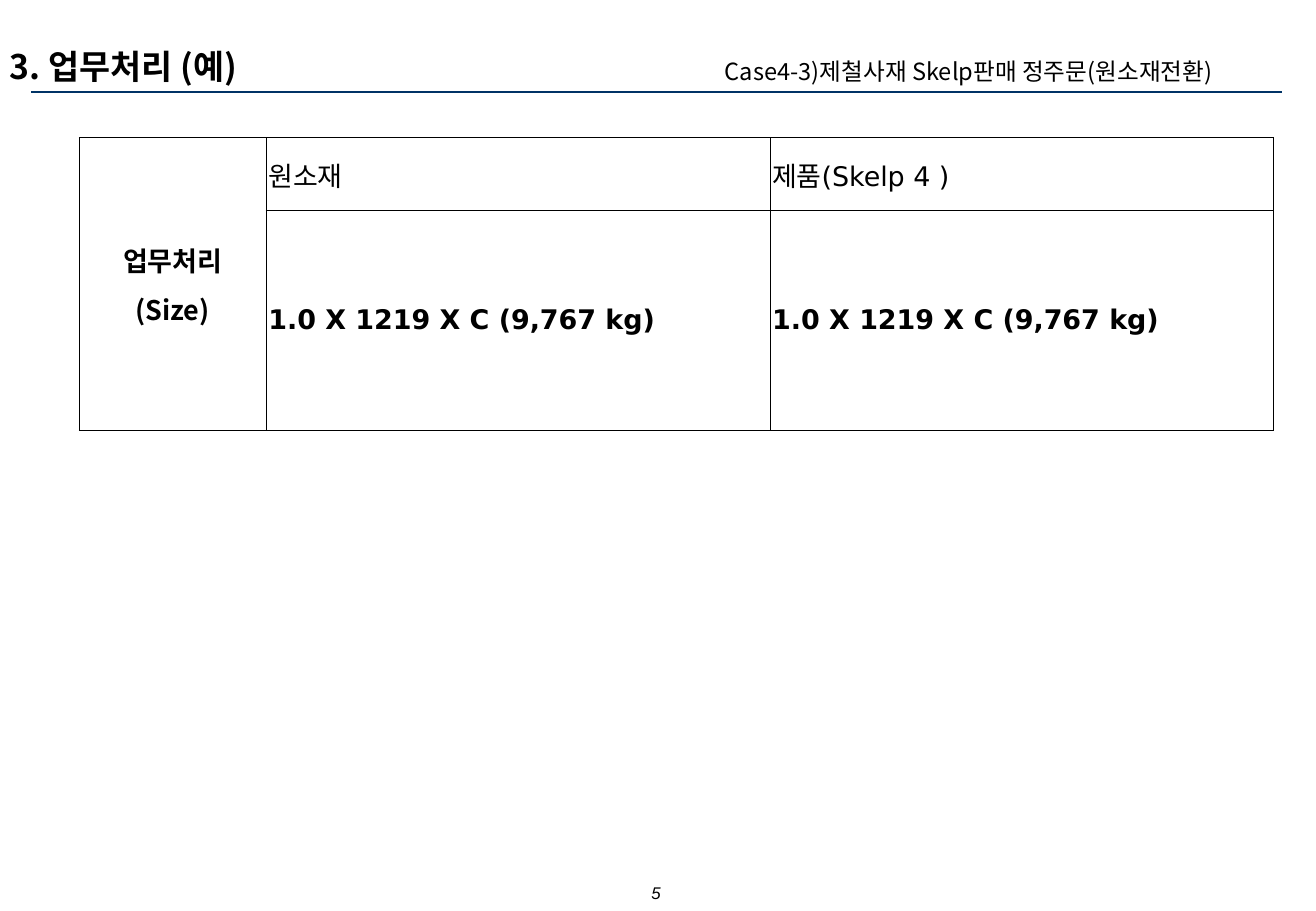
from lxml.etree import SubElement
from pptx import Presentation
from pptx.dml.color import RGBColor
from pptx.enum.shapes import MSO_CONNECTOR
from pptx.enum.text import MSO_ANCHOR, PP_ALIGN
from pptx.oxml import parse_xml
from pptx.oxml.ns import nsdecls, qn
from pptx.util import Pt

COLORS = {"text": "000000", "rule": "003366", "border": "000000"}
KOREAN, LATIN, NUMBER = "Noto Sans CJK KR", "DejaVu Sans", "Arial"
SIZE = "1.0 X 1219 X C (9,767 kg)"


class SlideBuilder:
    def __init__(self, prs):
        self.slide = prs.slides.add_slide(prs.slide_layouts[5])

    def style(self, p, font, size, bold=False, italic=False, align=PP_ALIGN.LEFT):
        p.alignment = align
        for r in p.runs:
            r.font.size, r.font.name = Pt(size), font
            r.font.bold, r.font.italic = bold, italic
            r.font.color.rgb = RGBColor.from_string(COLORS["text"])
            SubElement(r.font._element, qn("a:ea"), typeface=font)

    def frame(self, sp, text, inset, anchor, **style):
        tf = sp.text_frame
        tf.text = text
        tf.word_wrap = True
        tf.vertical_anchor = anchor
        tf.margin_left = tf.margin_right = Pt(inset)
        tf.margin_top = tf.margin_bottom = Pt(3.6)
        self.style(tf.paragraphs[0], **style)
        return tf.paragraphs[0]

    def title(self, text, left, top, width, height, **style):
        sp = self.slide.shapes.title
        sp.left, sp.top, sp.width, sp.height = Pt(left), Pt(top), Pt(width), Pt(height)
        self.frame(sp, text, 5.8, MSO_ANCHOR.BOTTOM, **style)

    def text(self, text, left, top, width, height, inset=7.2, **style):
        sp = self.slide.shapes.add_textbox(Pt(left), Pt(top), Pt(width), Pt(height))
        return self.frame(sp, text, inset, MSO_ANCHOR.TOP, **style)

    def rule(self, x1, x2, y):
        line = self.slide.shapes.add_connector(
            MSO_CONNECTOR.STRAIGHT, Pt(x1), Pt(y), Pt(x2), Pt(y))
        line.line.color.rgb = RGBColor.from_string(COLORS["rule"])
        line.line.width = Pt(1)
        SubElement(line._element.spPr, qn("a:effectLst"))

    def border(self, cell, width):
        tc_pr = cell._tc.get_or_add_tcPr()
        for i, side in enumerate(("lnL", "lnR", "lnT", "lnB")):
            tc_pr.insert(i, parse_xml(
                f'<a:{side} {nsdecls("a")} w="{Pt(width)}"><a:solidFill>'
                f'<a:srgbClr val="{COLORS["border"]}"/></a:solidFill></a:{side}>'))

    def cell(self, cell, text, top=3.6, **style):
        cell.vertical_anchor = MSO_ANCHOR.MIDDLE
        cell.margin_left = cell.margin_right = Pt(1.4)
        cell.margin_top, cell.margin_bottom = Pt(top), Pt(3.6)
        cell.text_frame.text = text
        for i, p in enumerate(cell.text_frame.paragraphs):
            p.space_before, p.space_after = Pt(4 if i else 0), Pt(2)
            self.style(p, size=16, **style)

    def table(self, left, top, widths, heights):
        table = self.slide.shapes.add_table(
            len(heights), len(widths), Pt(left), Pt(top),
            Pt(sum(widths)), Pt(sum(heights))).table
        table.first_row = table.horz_banding = False
        for column, width in zip(table.columns, widths):
            column.width = Pt(width)
        for row, height in zip(table.rows, heights):
            row.height = Pt(height)
        for cell in table.iter_cells():
            cell.fill.background()
            self.border(cell, 0.45)
        return table


def main():
    prs = Presentation()
    prs.slide_width, prs.slide_height = Pt(780.48), Pt(540)
    prs.element.sldSz.attrib.pop("type", None)
    s = SlideBuilder(prs)

    s.rule(18.7, 760.6, 54.7)
    s.title("3. 업무처리 (예)", 0, 20, 240, 34.7, font=KOREAN, size=20, bold=True)

    sizes = s.table(46.9, 81.4, (110.9, 298.8, 298.8), (43.2, 130.6))
    sizes.cell(0, 0).merge(sizes.cell(1, 0))
    s.cell(sizes.cell(0, 0), "업무처리\n(Size)", font=KOREAN, bold=True,
           align=PP_ALIGN.CENTER)
    for column, heading in enumerate(("원소재", "제품(Skelp 4 )"), start=1):
        s.cell(sizes.cell(0, column), heading, top=7.2, font=LATIN)
        s.cell(sizes.cell(1, column), SIZE, font=LATIN, bold=True)

    p = s.text("Case4-3)제철사재 Skelp판매 정주문(원소재전환)", 397.4, 30, 370, 24.5,
               inset=4.3, font=KOREAN, size=14)
    p_pr = p._p.get_or_add_pPr()
    p_pr.set("marL", str(Pt(35.3)))
    p_pr.set("indent", str(Pt(-7.2)))

    s.text("5", 298, 519.4, 182.2, 16, font=NUMBER, size=10, italic=True,
           align=PP_ALIGN.CENTER)
    prs.save("out.pptx")


if __name__ == "__main__":
    main()
